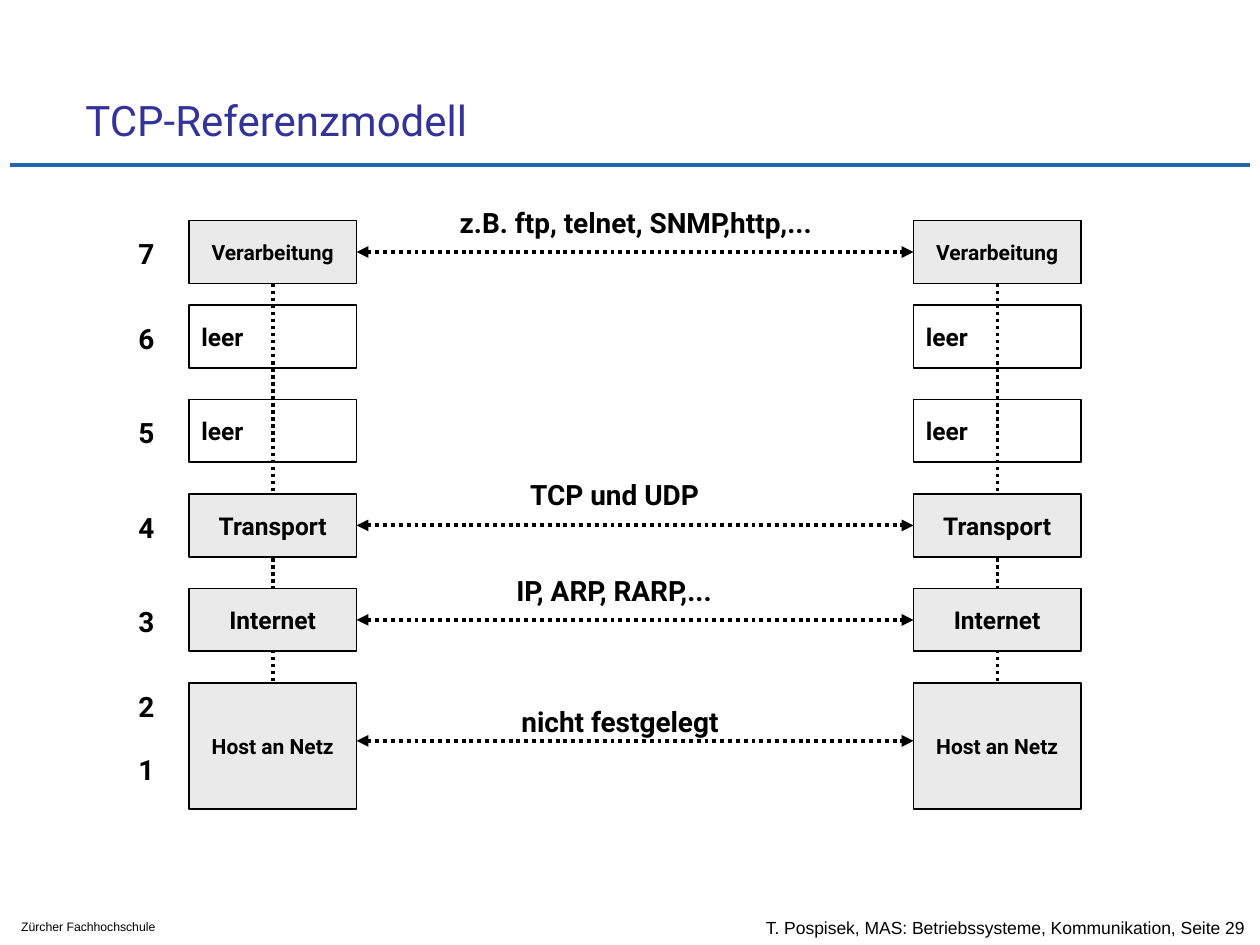
"""Build the TCP reference model slide."""
from lxml import etree
from pptx import Presentation
from pptx import util as u
from pptx.dml.color import RGBColor
from pptx.enum import dml, shapes, text
from pptx.oxml.ns import qn

BLACK = RGBColor(0x00, 0x00, 0x00)
GREY = RGBColor(0xEA, 0xEA, 0xEA)
BLUE = RGBColor(0x22, 0x66, 0xAB)
VIOLET = RGBColor(0x33, 0x33, 0x99)
TOP, LEFT, BOTTOM, RIGHT = range(4)
BOX_W, BOX_H = 1.33, 0.5
COLUMNS = (1.5, 7.25)


def put_text(sp, content, size=16, font="Roboto", color=BLACK, bold=True,
             align=text.PP_ALIGN.LEFT, anchor=text.MSO_ANCHOR.TOP, wrap=False):
    tf = sp.text_frame
    tf.word_wrap = wrap
    tf.vertical_anchor = anchor
    p = tf.paragraphs[0]
    p.alignment = align
    r = p.add_run()
    r.text = content
    r.font.size = u.Pt(size)
    r.font.name = font
    r.font.bold = bold
    r.font.color.rgb = color


class Deck:
    def __init__(self, prs):
        self.s = prs.slides.add_slide(prs.slide_layouts[6])

    def label(self, content, x, y, w, h=0.37, **style):
        sp = self.s.shapes.add_textbox(*map(u.Inches, (x, y, w, h)))
        put_text(sp, content, **style)

    def box(self, content, x, y, h=BOX_H, size=14, filled=True):
        sp = self.s.shapes.add_shape(shapes.MSO_SHAPE.RECTANGLE,
                                     *map(u.Inches, (x, y, BOX_W, h)))
        sp.shadow.inherit = False
        if filled:
            sp.fill.solid()
            sp.fill.fore_color.rgb = GREY
        else:
            sp.fill.background()
        sp.line.color.rgb = BLACK
        sp.line.width = u.Pt(1)
        align = text.PP_ALIGN.CENTER if filled else text.PP_ALIGN.LEFT
        put_text(sp, content, size, align=align, anchor=text.MSO_ANCHOR.MIDDLE)
        return sp

    def line(self, x1, y1, x2, y2, width, color=BLACK, dotted=True, arrows=False):
        c = self.s.shapes.add_connector(shapes.MSO_CONNECTOR.STRAIGHT,
                                        *map(u.Inches, (x1, y1, x2, y2)))
        c.line.color.rgb = color
        c.line.width = u.Pt(width)
        if dotted:
            c.line.dash_style = dml.MSO_LINE.ROUND_DOT
        if arrows:
            ln = c.line._get_or_add_ln()
            for end in ("a:headEnd", "a:tailEnd"):
                etree.SubElement(ln, qn(end), type="triangle")
        etree.SubElement(c._element.spPr, qn("a:effectLst"))
        return c

    def link(self, pair, y):
        c = self.line(COLUMNS[0] + BOX_W, y, COLUMNS[1], y, 2.25, arrows=True)
        c.begin_connect(pair[0], RIGHT)
        c.end_connect(pair[1], LEFT)


def main():
    prs = Presentation()
    prs.slide_width, prs.slide_height = u.Inches(10), u.Inches(7.5)
    d = Deck(prs)

    d.line(0.08, 1.31, 9.92, 1.31, 2.5, BLUE, dotted=False)
    d.label("T. Pospisek, MAS: Betriebssysteme, Kommunikation, Seite 29",
            5.98, 7.2, 4.9, 0.33, size=10, font="Arial", bold=False,
            anchor=text.MSO_ANCHOR.MIDDLE, wrap=True)
    d.label("Zürcher Fachhochschule", 0.07, 7.25, 1.72, 0.22,
            size=7, font="Arial", bold=False, wrap=True)
    d.label("TCP-Referenzmodell", 0.58, 0.28, 8.52, 0.92, size=24, bold=False,
            color=VIOLET, anchor=text.MSO_ANCHOR.BOTTOM, wrap=True)

    application = [d.box("Verarbeitung", x, 1.75, size=12) for x in COLUMNS]
    for x, sp in zip(COLUMNS, application):
        middle = x + BOX_W / 2
        stack = d.line(middle, 1.75 + BOX_H, middle, 6.08, 2)
        stack.begin_connect(sp, BOTTOM)
    d.link(application, 2)

    for name, y in (("Transport", 3.92), ("Internet", 4.67)):
        d.link([d.box(name, x, y) for x in COLUMNS], y + BOX_H / 2)
    for x in COLUMNS:
        d.box("Host an Netz", x, 5.42, h=1, size=12)
        for y in (2.42, 3.17):
            d.box("leer", x, y, filled=False)
    d.line(COLUMNS[0] + BOX_W, 5.88, COLUMNS[1], 5.88, 2.25, arrows=True)

    for content, x, y, w in (("z.B. ftp, telnet, SNMP,http,...", 3.55, 1.58, 3.28),
                             ("TCP und UDP", 4.11, 3.74, 1.62),
                             ("IP, ARP, RARP,...", 4, 4.5, 2.33),
                             ("nicht festgelegt", 4.04, 5.54, 1.95)):
        d.label(content, x, y, w)
    for number, y in zip(range(7, 0, -1), (1.83, 2.5, 3.25, 4, 4.75, 5.42, 5.92)):
        d.label(str(number), 1, y, 0.38, wrap=True)

    prs.save("out.pptx")


if __name__ == "__main__":
    main()
